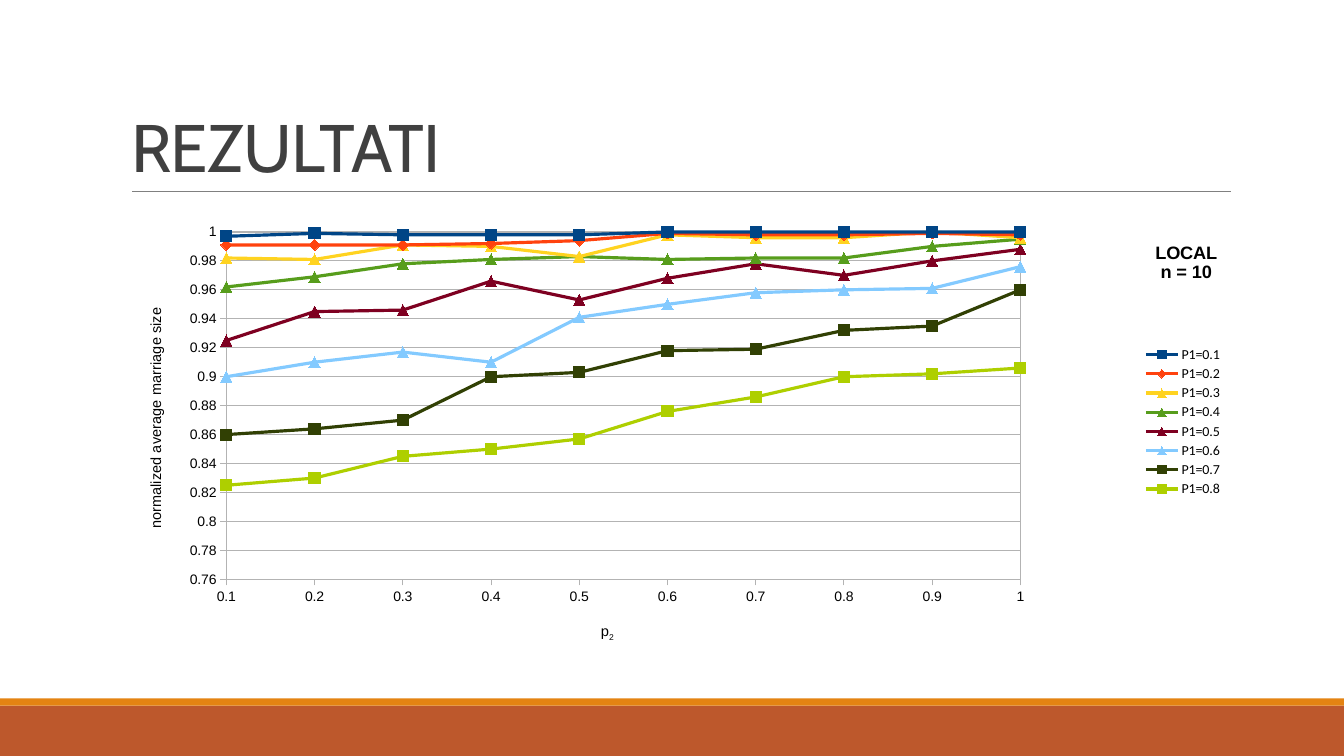
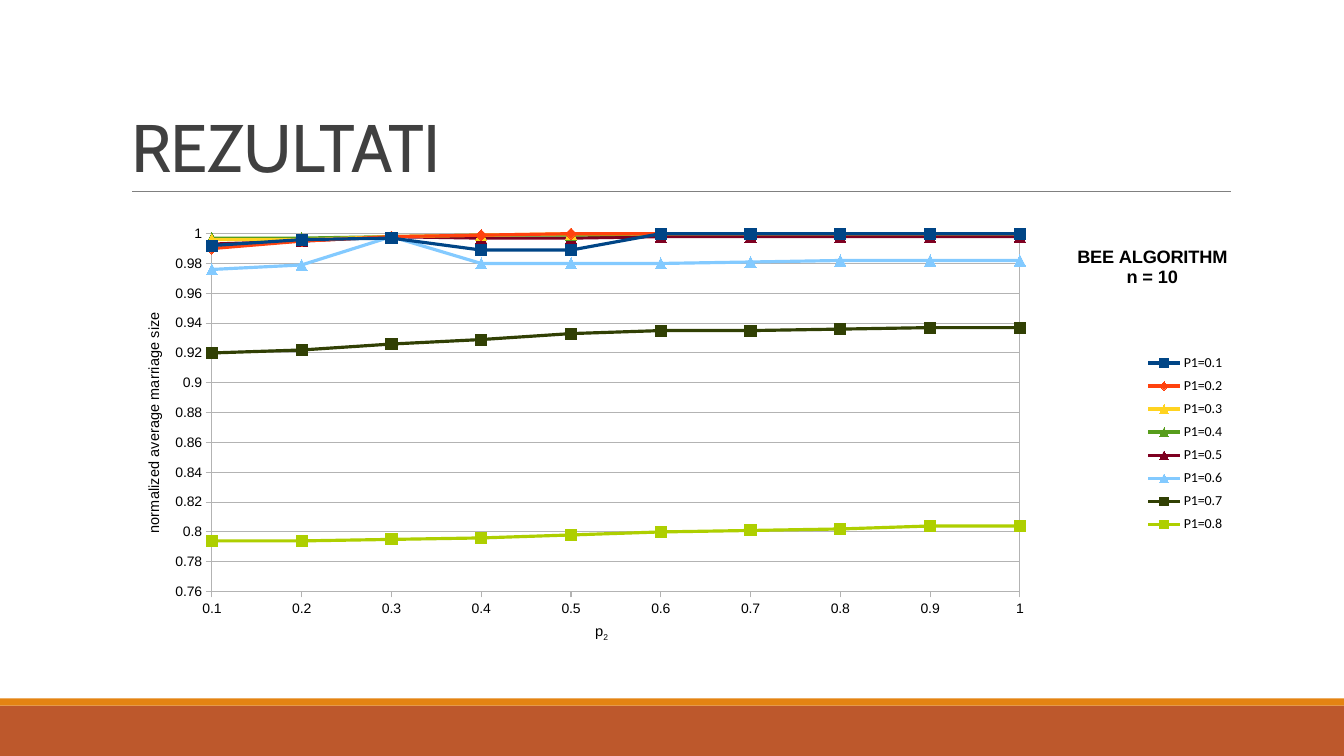
from lxml.etree import SubElement
from pptx import Presentation
from pptx.chart.data import XyChartData
from pptx.dml.color import RGBColor
from pptx.enum.chart import XL_CHART_TYPE, XL_LEGEND_POSITION, XL_MARKER_STYLE, XL_TICK_MARK
from pptx.enum.shapes import MSO_CONNECTOR, MSO_SHAPE
from pptx.enum.text import MSO_ANCHOR, MSO_AUTO_SIZE, PP_ALIGN
from pptx.oxml.ns import qn
from pptx.util import Inches, Pt

BLACK, GRID, TITLE_GREY, RULE = "000000", "B3B3B3", "404040", "808080"
RUST, ORANGE = "BD582C", "E48312"
SQUARE, DIAMOND, TRIANGLE = (
    XL_MARKER_STYLE.SQUARE, XL_MARKER_STYLE.DIAMOND, XL_MARKER_STYLE.TRIANGLE)

# One colour and marker per series, P1=0.1 to P1=0.8
SERIES_STYLES = [
    ("004586", SQUARE), ("FF420E", DIAMOND), ("FFD320", TRIANGLE), ("579D1C", TRIANGLE),
    ("7E0021", TRIANGLE), ("83CAFF", TRIANGLE), ("314004", SQUARE), ("AECF00", SQUARE),
]
P2_VALUES = [step / 10 for step in range(1, 11)]

# Places inside the chart are fractions of its width and height
RESULTS = [
    {
        "title": ["LOCAL", "n = 10"],
        "title_at": (0.93, 0.08), "x_title_at": (0.43, 0.95), "y_title_at": (0.02, 0.24),
        "plot_at": (0.095, 0.065, 0.716, 0.796), "legend_at": (0.915, 0.32, 0.085, 0.36),
        "values": [
            [0.997, 0.999, 0.998, 0.998, 0.998, 1, 1, 1, 1, 1],
            [0.991, 0.991, 0.991, 0.992, 0.994, 0.999, 0.998, 0.998, 0.999, 0.998],
            [0.982, 0.981, 0.991, 0.99, 0.983, 0.998, 0.996, 0.996, 1, 0.996],
            [0.962, 0.969, 0.978, 0.981, 0.983, 0.981, 0.982, 0.982, 0.99, 0.995],
            [0.925, 0.945, 0.946, 0.966, 0.953, 0.968, 0.978, 0.97, 0.98, 0.988],
            [0.9, 0.91, 0.917, 0.91, 0.941, 0.95, 0.958, 0.96, 0.961, 0.976],
            [0.86, 0.864, 0.87, 0.9, 0.903, 0.918, 0.919, 0.932, 0.935, 0.96],
            [0.825, 0.83, 0.845, 0.85, 0.857, 0.876, 0.886, 0.9, 0.902, 0.906],
        ],
    },
    {
        "title": ["BEE ALGORITHM", "n = 10"],
        "title_at": (0.86, 0.09), "x_title_at": (0.425, 0.95), "y_title_at": (0.018, 0.25),
        "plot_at": (0.082, 0.069, 0.729, 0.82), "legend_at": (0.92, 0.33, 0.08, 0.44),
        "values": [
            [0.992, 0.996, 0.997, 0.989, 0.989, 1, 1, 1, 1, 1],
            [0.99, 0.995, 0.998, 0.999, 1, 1, 1, 1, 1, 1],
            [0.996, 0.996, 0.998, 0.999, 1, 1, 1, 1, 1, 1],
            [0.997, 0.997, 0.998, 0.999, 0.999, 1, 1, 1, 1, 1],
            [0.993, 0.995, 0.998, 0.997, 0.997, 0.998, 0.998, 0.998, 0.998, 0.998],
            [0.976, 0.979, 0.998, 0.98, 0.98, 0.98, 0.981, 0.982, 0.982, 0.982],
            [0.92, 0.922, 0.926, 0.929, 0.933, 0.935, 0.935, 0.936, 0.937, 0.937],
            [0.794, 0.794, 0.795, 0.796, 0.798, 0.8, 0.801, 0.802, 0.804, 0.804],
        ],
    },
]


def color(hex_text):
    return RGBColor.from_string(hex_text)


def set_font(font, name, size, hex_text=BLACK, bold=False):
    font.name, font.size, font.bold = name, Pt(size), bold
    font.color.rgb = color(hex_text)


def set_line(line, hex_text, width):
    line.color.rgb = color(hex_text)
    line.width = Pt(width)


# Shared parts: bands and rule go to the layout
def add_band(page, top, height, hex_text):
    band = page.shapes.add_shape(
        MSO_SHAPE.RECTANGLE, 0, Inches(top), Inches(13.33), Inches(height))
    band.shadow.inherit = False
    band.fill.solid()
    band.fill.fore_color.rgb = color(hex_text)
    band.line.fill.background()
    return band


def add_rule(page):
    rule = page.shapes.add_connector(
        MSO_CONNECTOR.STRAIGHT, Inches(1.31), Inches(1.9), Inches(12.21), Inches(1.9))
    set_line(rule.line, RULE, 0.5)
    SubElement(rule.element.find(qn("p:spPr")), qn("a:effectLst"))
    return rule


def decorate_layout(layout, page):
    """Draw the shared parts on a page, then move them to its layout."""
    for part in (add_band(page, 7, 0.5, RUST), add_band(page, 6.93, 0.07, ORANGE),
                 add_rule(page)):
        layout.shapes.element.append(part.element)


def add_title(page, text):
    title = page.shapes.title
    title.left, title.top = Inches(1.2), Inches(0.31)
    title.width, title.height = Inches(11), Inches(1.59)
    frame = title.text_frame
    frame.text = text
    frame.vertical_anchor = MSO_ANCHOR.BOTTOM
    frame.auto_size = MSO_AUTO_SIZE.NONE
    para = frame.paragraphs[0]
    para.alignment = PP_ALIGN.LEFT
    para.line_spacing = 0.85
    set_font(para.font, "Cabin", 48, TITLE_GREY)
    title.element.find(".//" + qn("a:defRPr")).set("spc", "-50")


# Chart parts
def place(element, spot, inner=False):
    """Give a chart part a manual place: x, y and, if known, w, h."""
    for old in element.findall(qn("c:layout")):
        element.remove(old)
    layout = SubElement(element, qn("c:layout"))
    manual = SubElement(layout, qn("c:manualLayout"))
    if inner:
        SubElement(manual, qn("c:layoutTarget")).set("val", "inner")
    for mode in ("xMode", "yMode"):
        SubElement(manual, qn("c:" + mode)).set("val", "edge")
    for key, value in zip("xywh", spot):
        SubElement(manual, qn("c:" + key)).set("val", str(value))
    leads = element.findall(qn("c:tx")) + element.findall(qn("c:legendPos"))
    element.insert(len(leads), layout)


def write_title(title, lines, spot, size, bold=False):
    frame = title.text_frame
    for index, line in enumerate(lines):
        para = frame.add_paragraph() if index else frame.paragraphs[0]
        para.add_run().text = line
        set_font(para.font, "Arial", size, BLACK, bold)
    place(title.element, spot)
    return frame


def style_axis(axis, low, high, step):
    axis.minimum_scale, axis.maximum_scale, axis.major_unit = low, high, step
    axis.major_tick_mark = XL_TICK_MARK.OUTSIDE
    axis.minor_tick_mark = XL_TICK_MARK.NONE
    set_line(axis.format.line, GRID, 0.75)
    set_font(axis.tick_labels.font, "Arial", 10)


def style_axes(chart, result):
    x_axis, y_axis = chart.category_axis, chart.value_axis
    style_axis(x_axis, 0.1, 1, 0.1)
    style_axis(y_axis, 0.76, 1, 0.02)
    x_axis.has_major_gridlines = False
    y_axis.has_major_gridlines = True
    set_line(y_axis.major_gridlines.format.line, GRID, 0.75)
    write_title(y_axis.axis_title, ["normalized average marriage size"],
                result["y_title_at"], 10.5)
    frame = write_title(x_axis.axis_title, ["p"], result["x_title_at"], 10.5)
    subscript = frame.paragraphs[0].add_run()
    subscript.text = "2"
    subscript.font.size = Pt(10.5)
    x_axis.axis_title.element.findall(".//" + qn("a:rPr"))[-1].set("baseline", "-25000")


def style_series(chart):
    for series, (hex_text, marker) in zip(chart.plots[0].series, SERIES_STYLES):
        series.smooth = False
        set_line(series.format.line, hex_text, 2.27)
        series.marker.style, series.marker.size = marker, 8
        series.marker.format.fill.solid()
        series.marker.format.fill.fore_color.rgb = color(hex_text)
        set_line(series.marker.format.line, hex_text, 0.75)


def frame_plot(plot_area):
    outline = SubElement(SubElement(plot_area, qn("c:spPr")), qn("a:ln"), w=str(Pt(0.75)))
    fill = SubElement(outline, qn("a:solidFill"))
    SubElement(fill, qn("a:srgbClr")).set("val", GRID)


def add_result_chart(page, result):
    data = XyChartData()
    for number, values in enumerate(result["values"], start=1):
        series = data.add_series(f"P1=0.{number}")
        for x, y in zip(P2_VALUES, values):
            series.add_data_point(x, y)
    chart = page.shapes.add_chart(
        XL_CHART_TYPE.XY_SCATTER_LINES, Inches(1.2), Inches(2.02),
        Inches(11), Inches(4.4), data).chart
    set_font(chart.font, "Calibri", 10)
    chart.plots[0].vary_by_categories = False
    style_series(chart)
    style_axes(chart, result)

    chart.has_title = True
    write_title(chart.chart_title, result["title"], result["title_at"], 13, bold=True)
    chart.has_legend = True
    chart.legend.position = XL_LEGEND_POSITION.RIGHT
    chart.legend.include_in_layout = False
    place(chart.element.find(".//" + qn("c:legend")), result["legend_at"])
    plot_area = chart.element.find(".//" + qn("c:plotArea"))
    place(plot_area, result["plot_at"], inner=True)
    frame_plot(plot_area)


def main():
    deck = Presentation()
    deck.slide_width, deck.slide_height = Inches(13.33), Inches(7.5)
    layout = deck.slide_layouts.get_by_name("Title Only")
    pages = [deck.slides.add_slide(layout) for _ in RESULTS]
    decorate_layout(layout, pages[0])
    for page, result in zip(pages, RESULTS):
        add_title(page, "REZULTATI")
        add_result_chart(page, result)
    deck.save("out.pptx")


if __name__ == "__main__":
    main()
